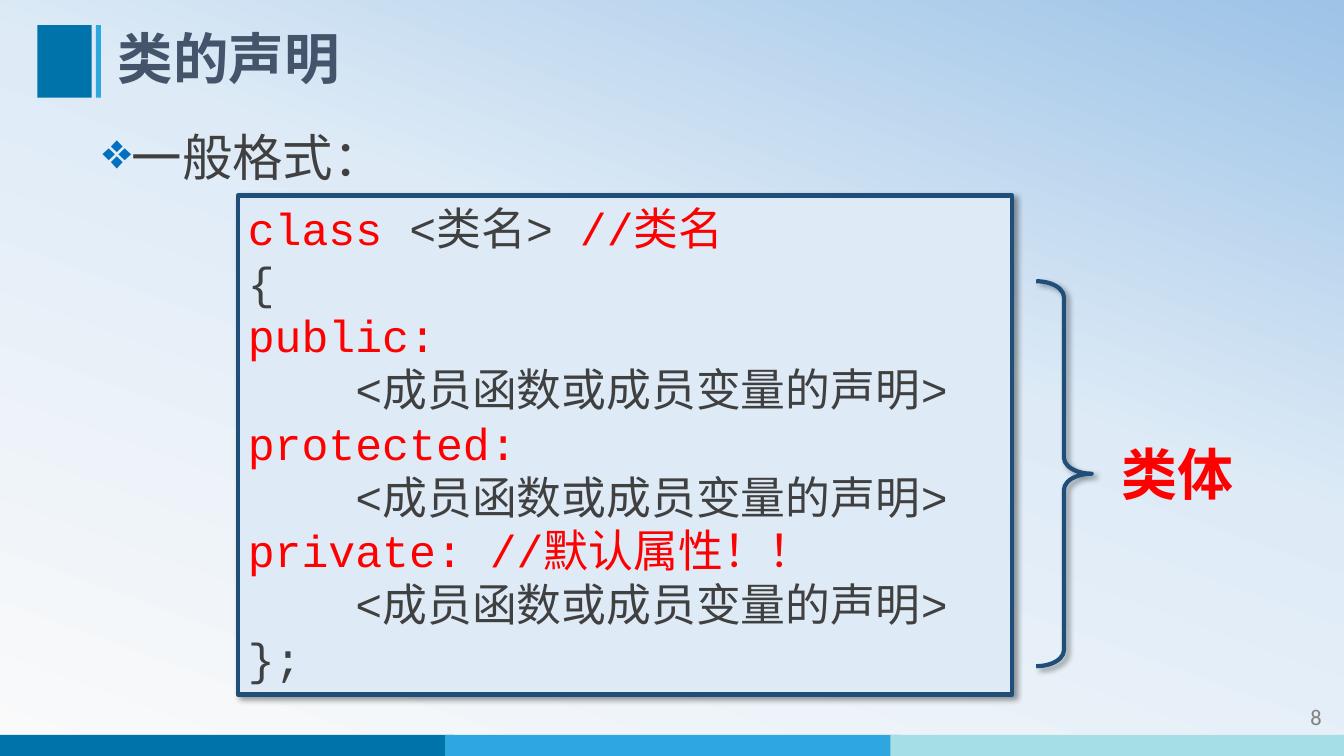
"""Build the slide on how a class is declared."""
from dataclasses import dataclass

from lxml import etree
from pptx import Presentation
from pptx.dml.color import RGBColor
from pptx.enum.shapes import MSO_SHAPE
from pptx.enum.text import MSO_ANCHOR, PP_ALIGN
from pptx.oxml import parse_xml
from pptx.oxml.ns import qn
from pptx.util import Inches, Pt

RECTANGLE, BRACE = MSO_SHAPE.RECTANGLE, MSO_SHAPE.RIGHT_BRACE
TOP, MIDDLE = MSO_ANCHOR.TOP, MSO_ANCHOR.MIDDLE
LEFT, RIGHT = PP_ALIGN.LEFT, PP_ALIGN.RIGHT
DRAWING_NS = "http://schemas.openxmlformats.org/drawingml/2006/main"


@dataclass(frozen=True)
class Theme:
    blue: str = "0073AB"
    sky: str = "2EA7E0"
    aqua: str = "A5DEE4"
    navy: str = "1F4E79"
    panel: str = "DEEBF7"
    heading: str = "44546A"
    body: str = "404040"
    bullet: str = "0070C0"
    keyword: str = "FF0000"
    muted: str = "808080"
    backdrop: tuple = ((0, "FAFAFA"), (58, "DEEBF7"), (100, "9DC3E6"))
    backdrop_angle: int = 290
    title_size: float = 39.6
    body_size: float = 36
    code_size: float = 32
    label_size: float = 40
    number_size: float = 16
    outline: float = 3
    sans: str = "Noto Sans CJK SC"
    mono: str = "Courier New"
    latin: str = "Calibri"


THEME = Theme()
TITLE = "类的声明"
INTRO = "一般格式："
BRACE_LABEL = "类体"
PAGE_NUMBER = "8"
KEY, PLAIN = THEME.keyword, THEME.body
MEMBERS = [("    <成员函数或成员变量的声明>", PLAIN)]
CODE = [
    [("class ", KEY), ("<类名> ", PLAIN), ("//类名", KEY)],
    [("{", PLAIN)],
    [("public:", KEY)],
    MEMBERS,
    [("protected:", KEY)],
    MEMBERS,
    [("private: //默认属性！！", KEY)],
    MEMBERS,
    [("};", PLAIN)],
]

# Each area is left, top, width, height in percent of the slide.
AREAS = {
    "title": (8.03, 3.33, 81.45, 9.6),
    "intro": (6.9, 16, 86.25, 9.47),
    "code": (17.7, 25.87, 57.6, 66),
    "brace": (77.1, 37.2, 4.13, 50.93),
    "label": (82.73, 57.47, 17.27, 10.27),
    "number": (87.15, 92.13, 11.93, 5.33),
}
TITLE_MARKS = [((2.78, 3.33, 4.05, 9.6), THEME.blue), ((7.13, 3.33, 0.38, 9.6), THEME.sky)]
FOOTER_COLORS = [THEME.blue, THEME.sky, THEME.aqua]
FOOTER_STEP, FOOTER_WIDTH, FOOTER_HEIGHT = 33.12, 33.76, 2.8

deck = Presentation()
deck.slide_width, deck.slide_height = Inches(13.33), Inches(7.5)
slide = deck.slides.add_slide(deck.slide_layouts[6])


def place(area):
    """Turn percentages into slide lengths."""
    sides = (deck.slide_width, deck.slide_height) * 2
    return [int(side * share / 100) for side, share in zip(sides, area)]


def add_block(area, fill=None, line=None, kind=RECTANGLE):
    """Draw a preset shape; an outlined one casts a soft shadow."""
    block = slide.shapes.add_shape(kind, *place(area))
    block.shadow.inherit = False
    if fill:
        block.fill.solid()
        block.fill.fore_color.rgb = RGBColor.from_string(fill)
    else:
        block.fill.background()
    if line:
        block.line.color.rgb = RGBColor.from_string(line)
        block.line.width = Pt(THEME.outline)
        effects = block.element.spPr.find(qn("a:effectLst"))
        shadow = etree.SubElement(effects, qn("a:outerShdw"), blurRad=str(Pt(4)),
                                  dist=str(Pt(3)), dir="2700000", algn="tl", rotWithShape="0")
        tint = etree.SubElement(shadow, qn("a:srgbClr"), val="000000")
        etree.SubElement(tint, qn("a:alpha"), val="40000")
    else:
        block.line.fill.background()
    return block


def write(holder, lines, *, size, font=THEME.sans, bold=False, align=LEFT,
          anchor=TOP, spacing=None, bullet=None):
    """Fill a holder with lines made of (text, colour) runs."""
    frame = holder.text_frame
    frame.word_wrap = True
    frame.vertical_anchor = anchor
    for index, runs in enumerate(lines):
        paragraph = frame.paragraphs[0] if index == 0 else frame.add_paragraph()
        if bullet:
            properties = paragraph._p.get_or_add_pPr()
            properties.set("marL", str(Inches(0.25)))
            properties.set("indent", str(-Inches(0.25)))
            color = etree.SubElement(properties, qn("a:buClr"))
            etree.SubElement(color, qn("a:srgbClr"), val=THEME.bullet)
            etree.SubElement(properties, qn("a:buChar"), char=bullet)
        paragraph.alignment = align
        if spacing:
            paragraph.line_spacing = spacing
        for text, tint in runs:
            run = paragraph.add_run()
            run.text = text
            run.font.size, run.font.name, run.font.bold = Pt(size), font, bold
            run.font.color.rgb = RGBColor.from_string(tint)
            etree.SubElement(run.font._element, qn("a:ea"), typeface=font)


def add_text(area, text, color, **text_format):
    """Add a text box with one line."""
    write(slide.shapes.add_textbox(*place(area)), [[(text, color)]], **text_format)


def paint_backdrop():
    """Give the slide its three-stop gradient."""
    fill = slide.background.fill
    fill.gradient()
    fill.gradient_angle = 360 - THEME.backdrop_angle
    stops = "".join(f'<a:gs pos="{share * 1000}"><a:srgbClr val="{color}"/></a:gs>'
                    for share, color in THEME.backdrop)
    old = next(slide.background._cSld.iter(qn("a:gsLst")))
    old.getparent().replace(old, parse_xml(f'<a:gsLst xmlns:a="{DRAWING_NS}">{stops}</a:gsLst>'))


def main():
    """Compose and save the slide."""
    paint_backdrop()
    for column, color in enumerate(FOOTER_COLORS):
        add_block((column * FOOTER_STEP, 100 - FOOTER_HEIGHT, FOOTER_WIDTH, FOOTER_HEIGHT), color)
    for area, color in TITLE_MARKS:
        add_block(area, color)
    add_text(AREAS["number"], PAGE_NUMBER, THEME.muted, size=THEME.number_size,
             font=THEME.latin, align=RIGHT, anchor=MIDDLE)
    add_text(AREAS["title"], TITLE, THEME.heading, size=THEME.title_size,
             bold=True, anchor=MIDDLE, spacing=0.9)
    add_text(AREAS["intro"], INTRO, THEME.body, size=THEME.body_size, bullet="❖")
    code = add_block(AREAS["code"], THEME.panel, THEME.navy)
    write(code, CODE, size=THEME.code_size, font=THEME.mono)
    brace = add_block(AREAS["brace"], line=THEME.navy, kind=BRACE)
    brace.adjustments[0], brace.adjustments[1] = 0.29, 0.5
    add_text(AREAS["label"], BRACE_LABEL, THEME.keyword, size=THEME.label_size, bold=True)
    deck.save("out.pptx")


if __name__ == "__main__":
    main()
